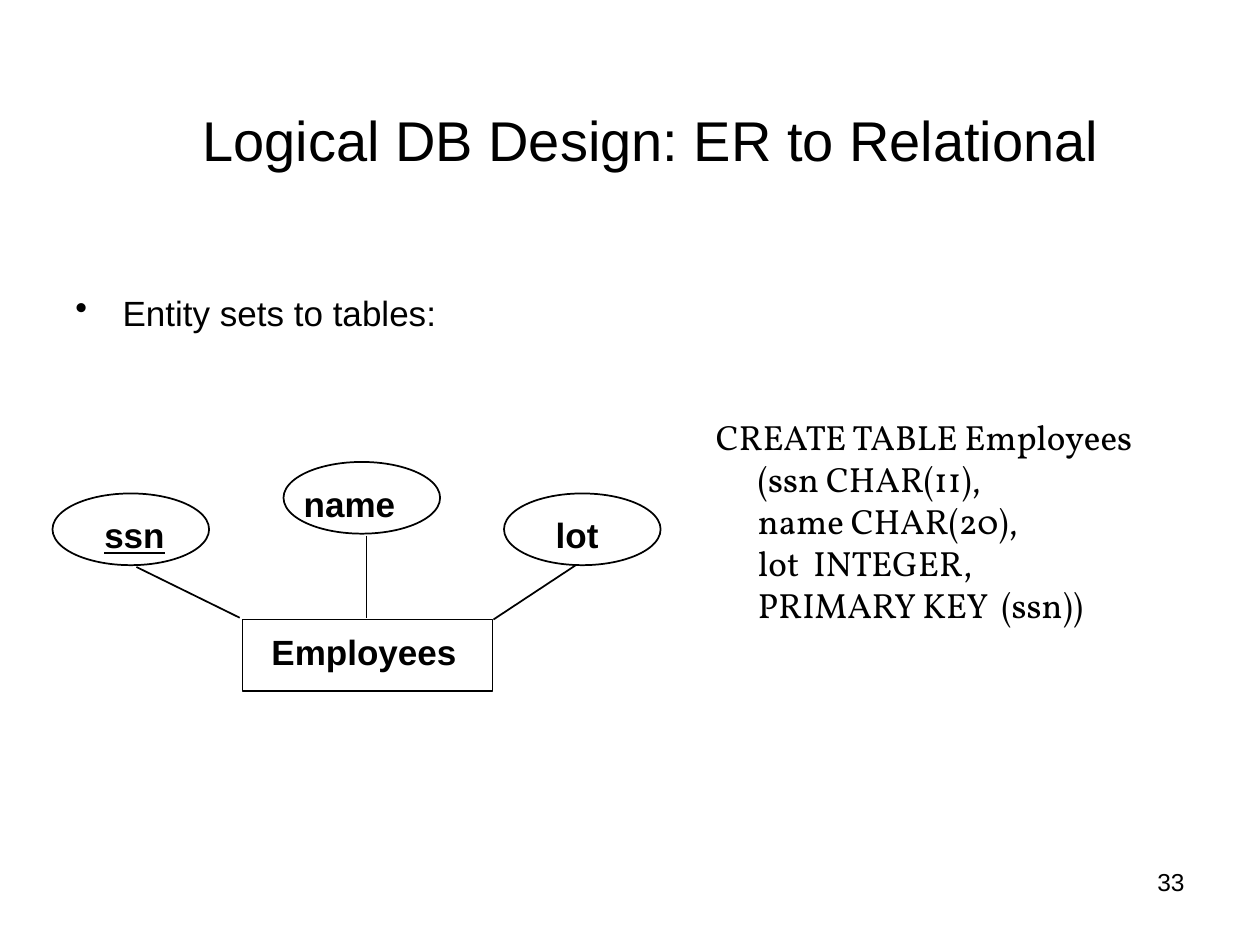
from typing import NamedTuple

from lxml import etree
from pptx import Presentation
from pptx import util as u
from pptx.dml.color import RGBColor
from pptx.enum import shapes, text
from pptx.oxml import ns

BLACK = RGBColor(0, 0, 0)
BODY = {"name": "Arial", "size": u.Pt(20)}
LABEL = {**BODY, "bold": True}
CODE = {"name": "Vollkorn", "size": u.Pt(20)}
OVAL, RECT = shapes.MSO_SHAPE.OVAL, shapes.MSO_SHAPE.RECTANGLE


class Box(NamedTuple):
    left: float
    top: float
    width: float
    height: float


class Node(NamedTuple):
    label: str
    kind: shapes.MSO_SHAPE
    outline: Box
    label_box: Box
    key: bool = False


class Link(NamedTuple):
    x1: float
    y1: float
    x2: float
    y2: float


# Entity with its attributes; the key attribute is underlined
OVAL_W, NODE_H, LABEL_H = 89.5, 41, 31
NODES = [
    Node("Employees", RECT, Box(138.5, 354, 143, NODE_H), Box(148, 356.5, 120, LABEL_H)),
    Node("ssn", OVAL, Box(30, 282, OVAL_W, NODE_H), Box(52.5, 290, 49, LABEL_H), True),
    Node("name", OVAL, Box(162, 264, OVAL_W, NODE_H), Box(166.5, 272, 67, LABEL_H)),
    Node("lot", OVAL, Box(288, 282, OVAL_W, NODE_H), Box(310.5, 290, 39, LABEL_H)),
]
LINKS = [
    Link(78, 324, 137, 353),
    Link(209.5, 306, 209.5, 353),
    Link(282, 354, 329, 323),
]
SQL = [
    "            CREATE TABLE Employees",
    "                  (ssn CHAR(11),",
    "                  name CHAR(20),",
    "                  lot  INTEGER,",
    "                  PRIMARY KEY  (ssn))",
]


def points(values) -> list:
    return [u.Pt(v) for v in values]


def style(p, fmt: dict) -> None:
    for name, value in fmt.items():
        setattr(p.font, name, value)
    p.font.color.rgb = BLACK


def add_text(s, box: Box, lines: list, fmt: dict, wrap: bool = True):
    tf = s.shapes.add_textbox(*points(box)).text_frame
    tf.word_wrap = wrap
    for i, line in enumerate(lines):
        p = tf.add_paragraph() if i else tf.paragraphs[0]
        p.text = line
        style(p, fmt)
    return tf


def add_bullet(p, indent: float) -> None:
    pPr = p._p.get_or_add_pPr()
    pPr.set("marL", str(u.Pt(indent)))
    pPr.set("indent", str(-u.Pt(indent)))
    bullet = etree.Element(ns.qn("a:buChar"), char="•")
    pPr.insert(0, bullet)


def add_node(s, node: Node) -> None:
    sp = s.shapes.add_shape(node.kind, *points(node.outline))
    sp.shadow.inherit = False
    sp.fill.background()
    sp.line.color.rgb = BLACK
    sp.line.width = u.Pt(1)
    add_text(s, node.label_box, [node.label], {**LABEL, "underline": node.key}, wrap=False)


def add_link(s, link: Link) -> None:
    line = s.shapes.add_connector(shapes.MSO_CONNECTOR.STRAIGHT, *points(link))
    line.line.color.rgb = BLACK
    line.line.width = u.Pt(1)
    etree.SubElement(line._element.spPr, ns.qn("a:effectLst"))


def add_title(s, box: Box, title: str) -> None:
    sp = s.shapes.title
    sp.left, sp.top, sp.width, sp.height = points(box)
    tf = sp.text_frame
    tf.text = title
    tf.auto_size = text.MSO_AUTO_SIZE.NONE
    tf.vertical_anchor = text.MSO_ANCHOR.MIDDLE
    tf.paragraphs[0].alignment = text.PP_ALIGN.CENTER
    style(tf.paragraphs[0], {"name": "Arial", "size": u.Pt(32)})


def main() -> None:
    prs = Presentation()
    prs.slide_width, prs.slide_height = u.Pt(720), u.Pt(540)
    s = prs.slides.add_slide(prs.slide_layouts[5])

    # Title and bullet
    add_title(s, Box(84, 36, 576, 87), "Logical DB Design: ER to Relational")
    tf = add_text(s, Box(36, 163, 343, 73), ["Entity sets to tables:"], BODY)
    add_bullet(tf.paragraphs[0], 27)

    # Table definition
    add_text(s, Box(354, 234, 348.5, 127), SQL, CODE)

    # ER diagram
    for node in NODES:
        add_node(s, node)
    for link in LINKS:
        add_link(s, link)

    # Page number
    tf = add_text(s, Box(516, 492, 168, 37.5), ["33"], {"name": "Arial", "size": u.Pt(14)})
    tf.paragraphs[0].alignment = text.PP_ALIGN.RIGHT

    prs.save("out.pptx")


if __name__ == "__main__":
    main()
